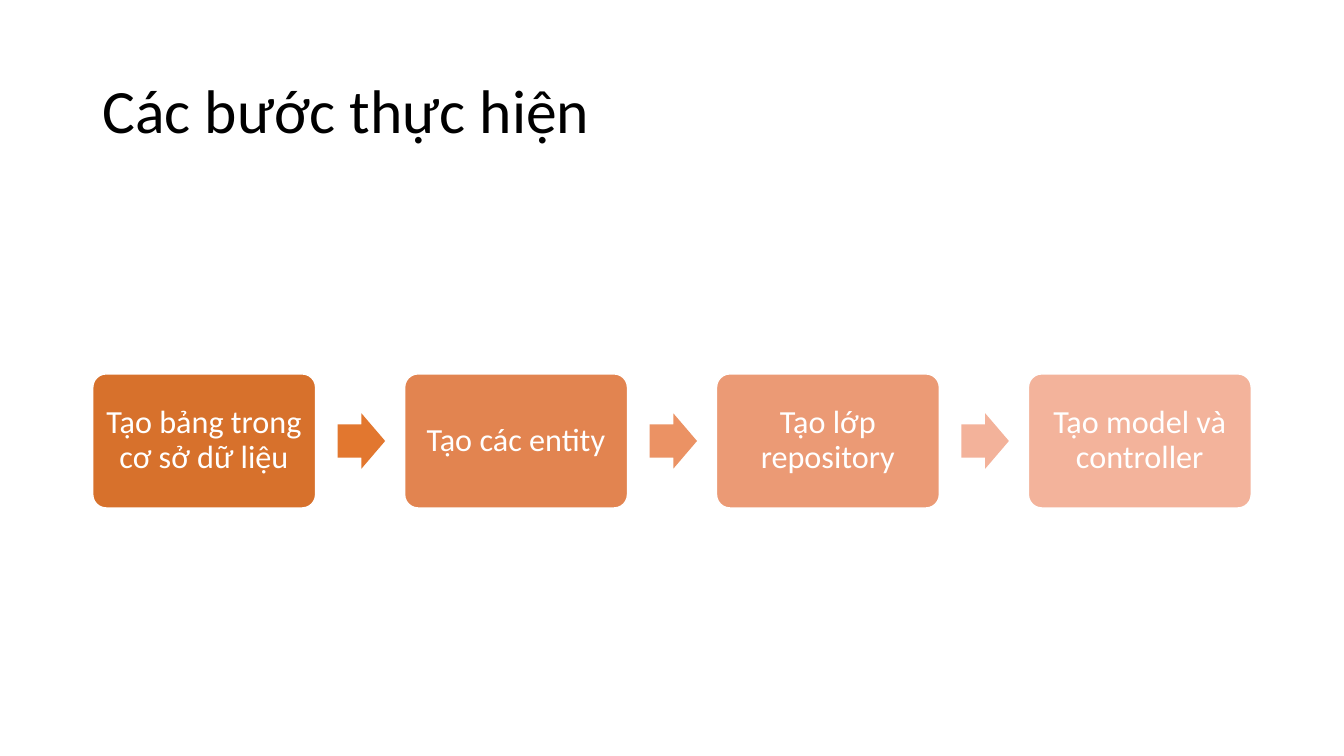
from pptx import Presentation
from pptx.dml.color import RGBColor
from pptx.enum.shapes import MSO_SHAPE as Shape
from pptx.enum.text import MSO_ANCHOR as Anchor, PP_ALIGN as Align
from pptx.util import Pt

PX = 9144
FONT = "Calibri"
BLACK = RGBColor(0x00, 0x00, 0x00)
WHITE = RGBColor(0xFF, 0xFF, 0xFF)
STEP_COLORS = [RGBColor(0xD7, 0x71, 0x2C), RGBColor(0xE2, 0x84, 0x50),
               RGBColor(0xEB, 0x9A, 0x75), RGBColor(0xF3, 0xB3, 0x9B)]
ARROW_COLORS = [RGBColor(0xE2, 0x77, 0x2F), RGBColor(0xEB, 0x92, 0x64),
                RGBColor(0xF3, 0xB2, 0x9A)]
STEPS = ["Tạo bảng trong cơ sở dữ liệu", "Tạo các entity",
         "Tạo lớp repository", "Tạo model và controller"]


def emu(*lengths):
    """Turn px lengths into whole EMU."""
    return [round(length * PX) for length in lengths]


def write_text(shape, text, size, color, align=Align.LEFT, inset_x=10, inset_y=5):
    """Put one vertically centred paragraph into a shape."""
    frame = shape.text_frame
    frame.word_wrap = True
    frame.vertical_anchor = Anchor.MIDDLE
    frame.margin_left, frame.margin_top = emu(inset_x, inset_y)
    frame.margin_right, frame.margin_bottom = frame.margin_left, frame.margin_top
    paragraph = frame.paragraphs[0]
    paragraph.alignment = align
    paragraph.line_spacing = 0.9
    run = paragraph.add_run()
    run.text = text
    run.font.name = FONT
    run.font.size = Pt(size)
    run.font.color.rgb = color


def add_filled(slide, kind, box, fill, adjustments):
    """Add a flat preset shape without a line."""
    shape = slide.shapes.add_shape(kind, *emu(*box))
    shape.shadow.inherit = False
    shape.fill.solid()
    shape.fill.fore_color.rgb = fill
    shape.line.fill.background()
    for index, value in enumerate(adjustments):
        shape.adjustments[index] = value
    return shape


def add_title(slide, box, text):
    """Add the slide title."""
    write_text(slide.shapes.add_textbox(*emu(*box)), text, 44, BLACK)


def add_process(slide, box, step_width=221, arrow_width=47, arrow_height=55):
    """Spread the steps evenly over the box with an arrow after each but the last."""
    left, top, width, height = box
    pitch = (width - step_width) / (len(STEPS) - 1)
    arrow_top = top + (height - arrow_height) / 2
    for index, (text, color) in enumerate(zip(STEPS, STEP_COLORS)):
        step_left = left + index * pitch
        step = add_filled(slide, Shape.ROUNDED_RECTANGLE,
                          (step_left, top, step_width, height), color, [0.1])
        step.line.color.rgb = WHITE
        step.line.width = Pt(1)
        write_text(step, text, 23, WHITE, Align.CENTER, inset_x=9, inset_y=10)
        if index < len(ARROW_COLORS):
            arrow_left = step_left + step_width + 22
            add_filled(slide, Shape.RIGHT_ARROW,
                       (arrow_left, arrow_top, arrow_width, arrow_height),
                       ARROW_COLORS[index], [0.6, 0.5])


def main():
    """Build and save the presentation."""
    presentation = Presentation()
    presentation.slide_width, presentation.slide_height = emu(1333, 750)
    slide = presentation.slides.add_slide(presentation.slide_layouts[6])
    add_title(slide, (92, 40, 1150, 145), "Các bước thực hiện")
    add_process(slide, (92, 371, 1149, 133))
    presentation.save("out.pptx")


if __name__ == "__main__":
    main()
